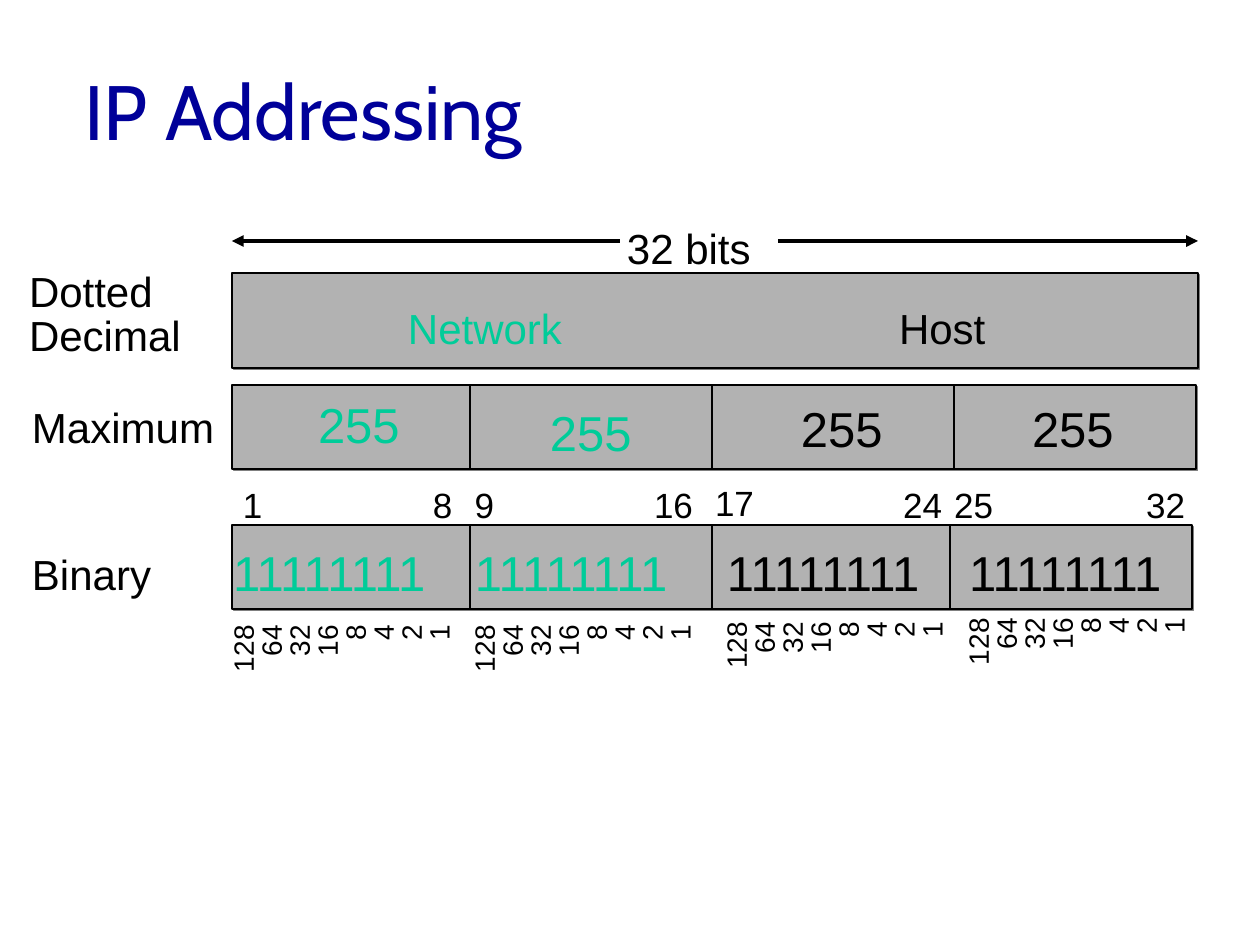
from dataclasses import dataclass

from lxml.etree import SubElement
from pptx import Presentation
from pptx.dml.color import RGBColor
from pptx.enum.shapes import MSO_CONNECTOR, MSO_SHAPE
from pptx.enum.text import MSO_ANCHOR, PP_ALIGN
from pptx.oxml.ns import qn
from pptx.util import Pt

PX = 914400 / 126  # EMU in one px
BLACK, GREY, SHADE = "000000", "B2B2B2", "808080"
GREEN, NAVY = "00CC99", "000099"
WEIGHTS = "\v".join(str(2 ** bit) for bit in range(7, -1, -1))


@dataclass
class Octet:
    """Offsets of the parts of one octet from the row it stands in."""
    color: str
    maximum: tuple       # bar left, then text left, text top
    binary: tuple        # bar left, then text left
    first_bit: tuple     # left, top
    last_bit: int        # left
    weights: tuple       # left, top


OCTETS = [
    Octet(GREEN, (0, 80, -26), (0, -5), (-1, 1), 189, (78, 6)),
    Octet(GREEN, (238, 312, -18), (238, 237), (231, 1), 420, (319, 6)),
    Octet(BLACK, (480, 563, -22), (480, 489), (481, -1), 669, (571, 3)),
    Octet(BLACK, (722, 794, -22), (718, 731), (720, 1), 912, (813, -1)),
]


def px(length):
    return round(length * PX)


def rgb(color):
    return RGBColor.from_string(color)


def add_text(slide, box, text, size, color=BLACK, align=PP_ALIGN.LEFT,
             spacing=None, anchor=MSO_ANCHOR.TOP, insets=(6, 10)):
    shape = slide.shapes.add_textbox(*map(px, box))
    frame = shape.text_frame
    frame.word_wrap = False
    frame.vertical_anchor = anchor
    frame.margin_left = frame.margin_right = px(insets[0])
    frame.margin_top = frame.margin_bottom = px(insets[1])
    paragraph = frame.paragraphs[0]
    paragraph.text = text
    paragraph.alignment = align
    if spacing:
        paragraph.line_spacing = Pt(spacing)
    paragraph.font.name = "Arial"
    paragraph.font.size = Pt(size)
    paragraph.font.color.rgb = rgb(color)
    return shape


def add_bar(slide, box):
    """Grey bar with a thin outline and a hard shadow."""
    shape = slide.shapes.add_shape(MSO_SHAPE.RECTANGLE, *map(px, box))
    shape.fill.solid()
    shape.fill.fore_color.rgb = rgb(GREY)
    shape.line.color.rgb = rgb(BLACK)
    shape.line.width = Pt(1)
    shape.shadow.inherit = False
    effects = shape._element.spPr.find(qn("a:effectLst"))
    shadow = SubElement(effects, qn("a:outerShdw"), dist=str(Pt(1.4)),
                        dir="2700000", algn="ctr", rotWithShape="0")
    SubElement(shadow, qn("a:srgbClr"), val=SHADE)


def add_title(slide, box, text):
    title = slide.shapes.title
    title.left, title.top, title.width, title.height = map(px, box)
    frame = title.text_frame
    frame.vertical_anchor = MSO_ANCHOR.MIDDLE
    frame.margin_left = frame.margin_right = px(11)
    frame.margin_top = frame.margin_bottom = px(5)
    paragraph = frame.paragraphs[0]
    paragraph.text = text
    paragraph.alignment = PP_ALIGN.LEFT
    paragraph.font.name = "Cabin"
    paragraph.font.size = Pt(44)
    paragraph.font.color.rgb = rgb(NAVY)


def add_width_arrow(slide, left, top, width):
    # One arrow to each side of the caption
    for start, end in ((left + 388, left), (left + 546, left + width)):
        arrow = slide.shapes.add_connector(
            MSO_CONNECTOR.STRAIGHT, px(start), px(top), px(end), px(top))
        arrow.line.color.rgb = rgb(BLACK)
        arrow.line.width = Pt(2.25)
        SubElement(arrow.line._get_or_add_ln(), qn("a:tailEnd"),
                   type="triangle")
        SubElement(arrow._element.spPr, qn("a:effectLst"))
    add_text(slide, (left + 389, top - 63, 150, 82), "32 bits", 24,
             spacing=48.4)


def add_address_row(slide, left, top, width, height):
    add_bar(slide, (left, top, width, height))
    for offset, part_width, name, color in ((163, 200, "Network", GREEN),
                                            (654, 130, "Host", BLACK)):
        add_text(slide, (left + offset, top + 23, part_width, 63), name, 24,
                 color, anchor=MSO_ANCHOR.MIDDLE, insets=(13, 6))


def add_maximum_row(slide, left, top, width, height):
    for octet in OCTETS:
        add_bar(slide, (left + octet.maximum[0], top, width, height))
    for octet in OCTETS:
        _, text_left, text_top = octet.maximum
        add_text(slide, (left + text_left, top + text_top, 256, 105), "255",
                 28, octet.color, spacing=48.4)


def add_binary_row(slide, left, top, width, height):
    for octet in OCTETS:
        add_bar(slide, (left + octet.binary[0], top, width, height))
    for index, octet in enumerate(OCTETS):
        add_text(slide, (left + octet.binary[1], top - 18, 256, 105),
                 "1" * 8, 28, octet.color, spacing=48.4)
        # Bit numbers above the bar
        first_left, first_top = octet.first_bit
        for bit, bit_left, bit_top in ((8 * index + 1, first_left, first_top),
                                       (8 * index + 8, octet.last_bit, 1)):
            add_text(slide, (left + bit_left, top - 51 + bit_top, 43, 60),
                     str(bit), 20, align=PP_ALIGN.CENTER, spacing=23.6,
                     anchor=MSO_ANCHOR.MIDDLE, insets=(0, 0))
        # Place values below the bar, reading upwards
        weights_left, weights_top = octet.weights
        weights = add_text(
            slide, (left + weights_left, top + weights_top, 67, 244), WEIGHTS,
            16, align=PP_ALIGN.RIGHT, spacing=16)
        weights.rotation = 270


def add_row_labels(slide, left, width):
    for offset, top, label in ((0, 262, "Dotted\vDecimal"),
                               (3, 398, "Maximum"), (3, 545, "Binary")):
        add_text(slide, (left + offset, top, width, 110), label, 24,
                 spacing=25)


def main():
    presentation = Presentation()
    presentation.slide_width, presentation.slide_height = px(1260), px(945)
    slide = presentation.slides.add_slide(presentation.slide_layouts[5])
    add_title(slide, (73, 31, 1071, 158), "IP Addressing")
    add_width_arrow(slide, 232, 241, 966)
    add_address_row(slide, 232, 273, 966, 95)
    add_maximum_row(slide, 232, 385, 242, 84)
    add_binary_row(slide, 232, 525, 242, 84)
    add_row_labels(slide, 23, 205)
    presentation.save("out.pptx")


if __name__ == "__main__":
    main()
